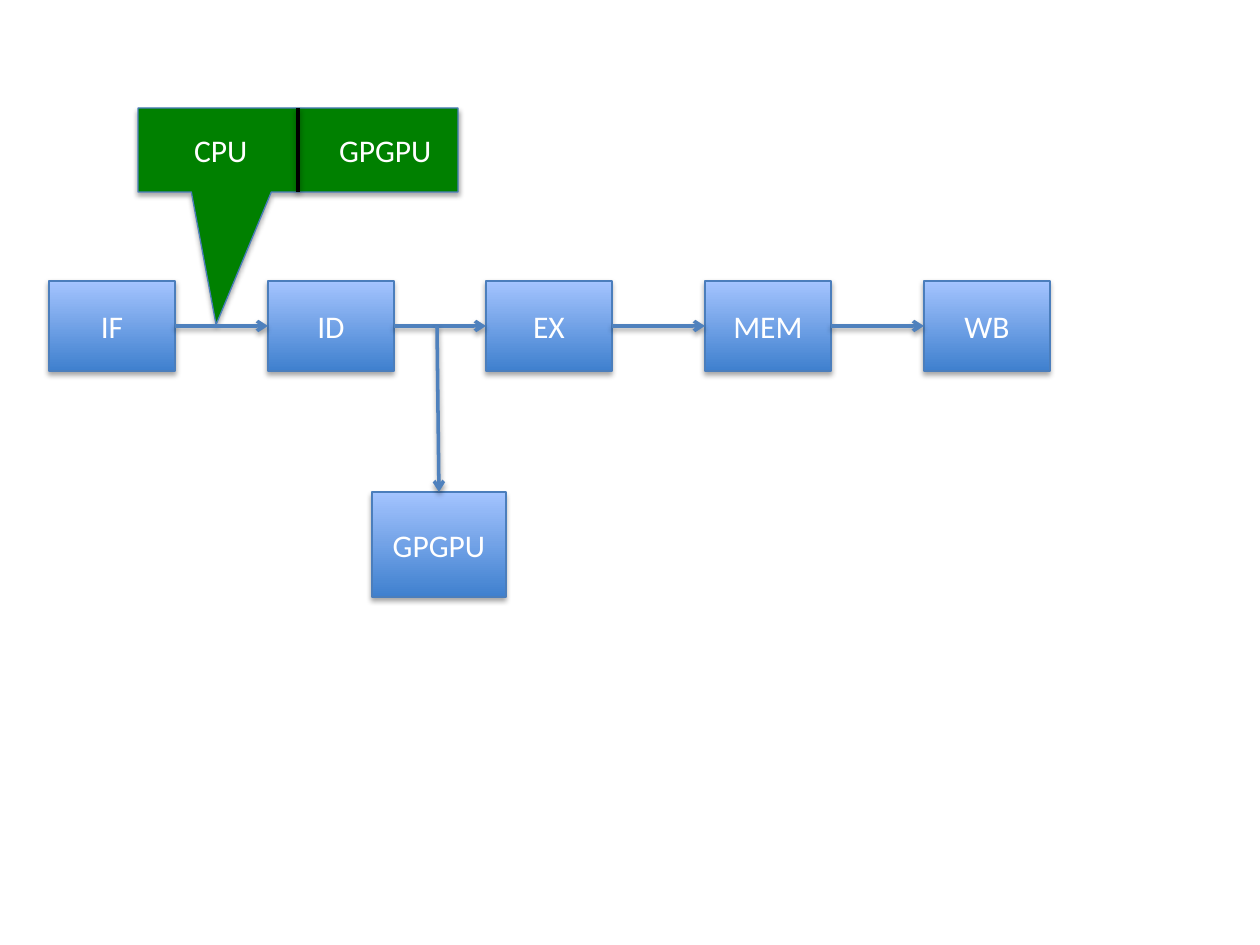
from lxml.etree import SubElement
from pptx import Presentation
from pptx.dml.color import RGBColor
from pptx.enum.shapes import MSO_CONNECTOR as Connector, MSO_SHAPE as Shape
from pptx.enum.text import MSO_ANCHOR as Anchor, PP_ALIGN as Align
from pptx.oxml.ns import qn
from pptx.util import Pt

PX = 914400 // 126
COLORS = {
    "top": "A4C4FF", "bottom": "3F80CE", "border": "4B7EBC", "arrow": "4F81BD",
    "callout": "008000", "divider": "000000", "text": "FFFFFF", "shadow": "000000",
}
rgb = {name: RGBColor.from_string(value) for name, value in COLORS.items()}

deck = Presentation()
deck.slide_width, deck.slide_height = 1260 * PX, 945 * PX
page = deck.slides.add_slide(deck.slide_layouts[6])


def add_box(text, left, top, width, height, kind=Shape.RECTANGLE, fill=None,
            align=Align.CENTER, size=18, font="Calibri", color="text"):
    box = page.shapes.add_shape(kind, left * PX, top * PX, width * PX, height * PX)
    if fill:
        box.fill.solid()
        box.fill.fore_color.rgb = rgb[fill]
    else:
        box.fill.gradient()
        box.fill.gradient_angle = 90
        for stop, name in zip(box.fill.gradient_stops, ("bottom", "top")):
            stop.color.rgb = rgb[name]
    box.line.color.rgb = rgb["border"]
    box.line.width = Pt(0.75)
    box.shadow.inherit = False
    add_shadow(box, alpha=35, distance=1.8)
    frame = box.text_frame
    frame.word_wrap = True
    frame.vertical_anchor = Anchor.MIDDLE
    para = frame.paragraphs[0]
    para.alignment = align
    span = para.add_run()
    span.text = text
    span.font.size, span.font.name = Pt(size), font
    span.font.color.rgb = rgb[color]
    return box


def add_shadow(item, alpha, distance):
    props = item._element.spPr
    effects = props.find(qn("a:effectLst"))
    if effects is None:
        effects = SubElement(props, qn("a:effectLst"))
    shadow = SubElement(effects, qn("a:outerShdw"), blurRad=str(Pt(3.1)),
                        dist=str(Pt(distance)), dir="5400000", rotWithShape="0")
    tint = SubElement(shadow, qn("a:srgbClr"), val=COLORS["shadow"])
    SubElement(tint, qn("a:alpha"), val=str(alpha * 1000))


# Pipeline stages
stages = ["IF", "ID", "EX", "MEM", "WB"]
stage_width, stage_top, stage_height, middle = 126, 281, 90, 326
lefts = [round(49 + 218.75 * i) for i in range(len(stages))]
for name, left in zip(stages, lefts):
    add_box(name, left, stage_top, stage_width, stage_height, kind=Shape.FLOWCHART_PROCESS)

# Callout with two fields
callout = add_box("CPU\tGPGPU", 138, 108, 320, 84, kind=Shape.RECTANGULAR_CALLOUT,
                  fill="callout", align=Align.LEFT)
callout.adjustments[0], callout.adjustments[1] = -0.256, 2.08
callout.text_frame.margin_left = 56 * PX
para_props = callout.text_frame.paragraphs[0]._p.get_or_add_pPr()
tabs = SubElement(para_props, qn("a:tabLst"))
SubElement(tabs, qn("a:tab"), pos=str(145 * PX), algn="l")

# Branch target
add_box("GPGPU", 372, 492, 134, 105)

# Arrows between stages, divider of the callout, branch arrow
lines = [(left + stage_width, middle, following, middle, "arrow")
         for left, following in zip(lefts, lefts[1:])]
lines += [(298, 108, 298, 192, "divider"), (437, middle, 439, 492, "arrow")]
for x1, y1, x2, y2, color in lines:
    line = page.shapes.add_connector(Connector.STRAIGHT, x1 * PX, y1 * PX, x2 * PX, y2 * PX)
    line.line.color.rgb = rgb[color]
    line.line.width = Pt(2)
    if color == "arrow":
        SubElement(line.line._get_or_add_ln(), qn("a:tailEnd"), type="arrow")
    add_shadow(line, alpha=38, distance=1.6)

deck.save("out.pptx")
